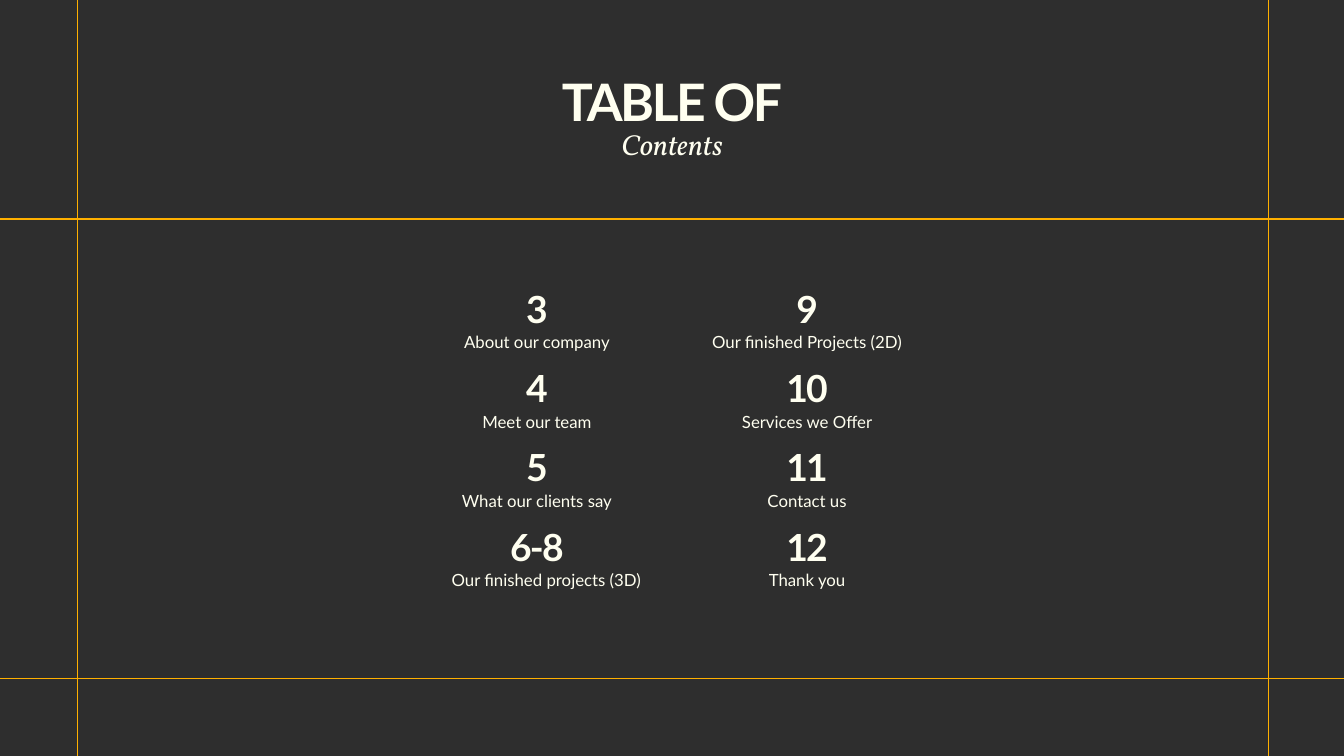
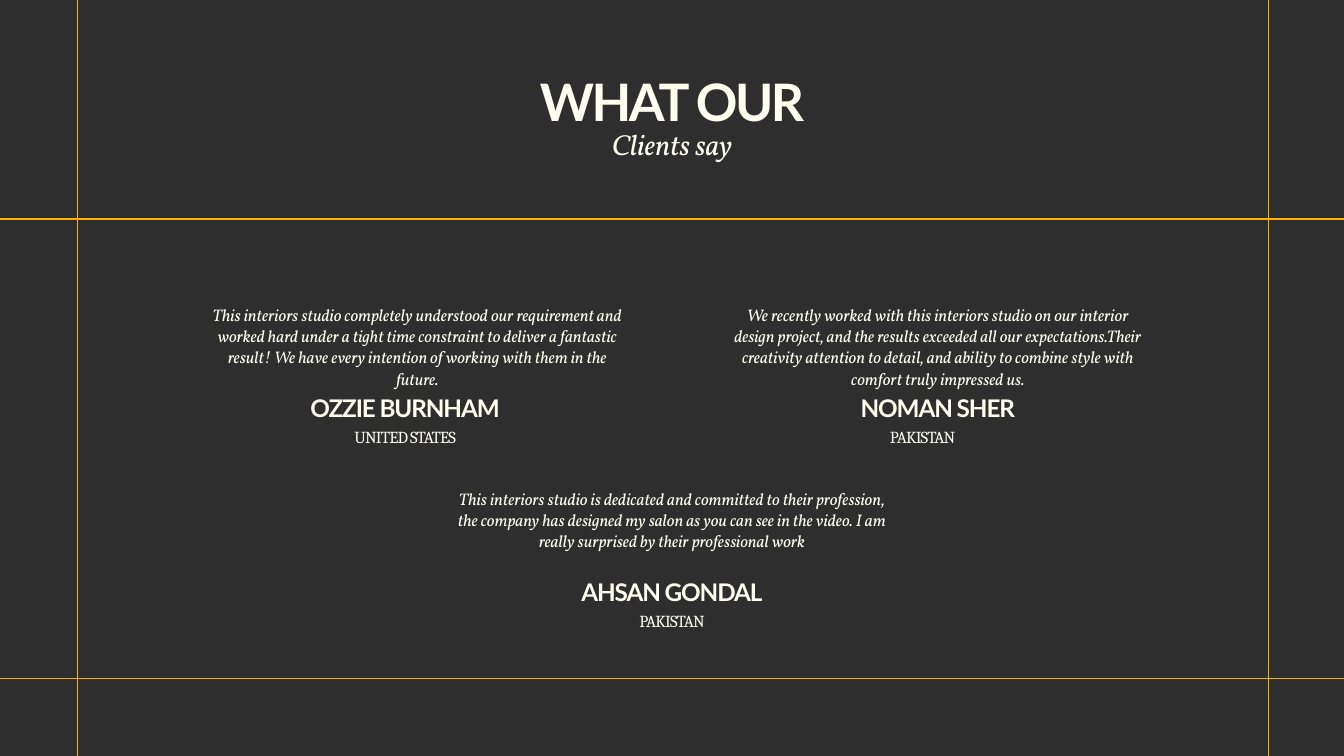
from dataclasses import dataclass
from typing import NamedTuple

from pptx import Presentation
from pptx import util as u
from pptx.dml.color import RGBColor
from pptx.enum import shapes, text
from pptx.oxml import xmlchemy
from pptx.oxml.ns import qn

SLIDE_WIDTH, SLIDE_HEIGHT = u.Inches(20), u.Inches(11.25)
BACKGROUND, IVORY, GOLD = "2E2E2E", "FFFFF0", "FFB000"

# All positions and lengths are percentages of the slide's width or height.
VERTICAL_RULES = (5.75, 94.4)
HORIZONTAL_RULES = (28.98, 89.78)
RULE_BLEED = 3

CONTENTS_CENTRES = (39.95, 60.05)
CONTENTS_TOP, CONTENTS_PITCH, LABEL_DROP = 39.56, 10.49, 4.2
NAME_DROP, PLACE_DROP = 12.55, 16.8


@dataclass(frozen=True)
class TextStyle:
    font: str
    size: float
    leading: float
    height: float
    bold: bool = False
    italic: bool = False
    tracking: float = 0


TITLE = TextStyle("Lato", 55.3, 55.8, 7.2, bold=True, tracking=-2.6)
SUBTITLE = TextStyle("Vollkorn", 31, 35.6, 4.44, italic=True)
PAGE_NUMBER = TextStyle("Lato", 40, 34, 4.71, bold=True, tracking=-1.9)
PAGE_LABEL = TextStyle("Lato", 18, 23, 2.84)
QUOTE = TextStyle("Vollkorn", 18, 22.9, 11.02, italic=True)
CLIENT_NAME = TextStyle("Lato", 26, 26.3, 3.47, bold=True, tracking=-1.2)
CLIENT_PLACE = TextStyle("Cambria", 18, 18.2, 2.4, tracking=-0.9)


class Entry(NamedTuple):
    pages: str
    label: str
    label_shift: float = 0


class Testimonial(NamedTuple):
    quote: str
    name: str
    place: str
    top: float
    width: float
    quote_centre: float
    name_centre: float
    place_centre: float


CONTENTS = (
    (
        Entry("3", "About our company"),
        Entry("4", "Meet our team"),
        Entry("5", "What our clients say"),
        Entry("6-8", "Our finished projects (3D)", 0.7),
    ),
    (
        Entry("9", "Our finished Projects (2D)"),
        Entry("10", "Services we Offer"),
        Entry("11", "Contact us"),
        Entry("12", "Thank you"),
    ),
)

TESTIMONIALS = (
    Testimonial(
        "This interiors studio completely understood our requirement and worked "
        "hard under a tight time constraint to deliver a fantastic result! We have "
        "every intention of working with them in the future.",
        "OZZIE BURNHAM", "UNITED STATES", 40.09, 31.3, 31.05, 30.15, 30.15,
    ),
    Testimonial(
        "We recently worked with this interiors studio on our interior design "
        "project, and the results exceeded all our expectations.Their creativity "
        "attention to detail, and ability to combine style with comfort truly "
        "impressed us.",
        "NOMAN SHER", "PAKISTAN", 40.09, 31.45, 69.78, 69.78, 68.65,
    ),
    Testimonial(
        "This interiors studio is dedicated and committed to their profession, the "
        "company has designed my salon as you can see in the video. I am really "
        "surprised by their professional work",
        "AHSAN GONDAL", "PAKISTAN", 64.44, 32.35, 50, 50, 50,
    ),
)


def across(share: float) -> u.Emu:
    return u.Emu(round(SLIDE_WIDTH * share / 100))


def down(share: float) -> u.Emu:
    return u.Emu(round(SLIDE_HEIGHT * share / 100))


def colour(hex_code: str) -> RGBColor:
    return RGBColor.from_string(hex_code)


def add_text(slide, words: str, style: TextStyle, centre: float, top: float, width: float) -> None:
    """Add centred text in a box placed by its horizontal centre and its top."""
    box = slide.shapes.add_textbox(
        across(centre - width / 2), down(top), across(width), down(style.height)
    )
    frame = box.text_frame
    frame.word_wrap = True
    frame.auto_size = text.MSO_AUTO_SIZE.SHAPE_TO_FIT_TEXT
    frame.margin_left = frame.margin_right = frame.margin_top = frame.margin_bottom = 0

    paragraph = frame.paragraphs[0]
    paragraph.alignment = text.PP_ALIGN.CENTER
    paragraph.line_spacing = u.Pt(style.leading)
    run = paragraph.add_run()
    run.text = words
    if style.tracking:
        run._r.get_or_add_rPr().set("spc", str(round(style.tracking * 100)))
    font = paragraph.font
    font.name, font.size = style.font, u.Pt(style.size)
    font.bold, font.italic = style.bold, style.italic
    font.color.rgb = colour(IVORY)


def add_rule(slide, start: tuple[float, float], end: tuple[float, float]) -> None:
    rule = slide.shapes.add_connector(
        shapes.MSO_CONNECTOR.STRAIGHT,
        across(start[0]), down(start[1]), across(end[0]), down(end[1]),
    )
    rule.line.color.rgb = colour(GOLD)
    rule.line.width = u.Pt(1.5)
    properties = rule._element.spPr
    properties.append(properties.makeelement(qn("a:effectLst"), {}))


def add_framed_slide(presentation, title: str, subtitle: str):
    """Add a dark slide with the heading and the four gold rules."""
    slide = presentation.slides.add_slide(presentation.slide_layouts[6])
    fill = slide.background.fill
    fill.solid()
    fill.fore_color.rgb = colour(BACKGROUND)
    near, far = -RULE_BLEED, 100 + RULE_BLEED
    for x in VERTICAL_RULES:
        add_rule(slide, (x, near), (x, far))
    for y in HORIZONTAL_RULES:
        add_rule(slide, (near, y), (far, y))
    add_text(slide, title, TITLE, 50, 10.49, 33.3)
    add_text(slide, subtitle, SUBTITLE, 50, 16.89, 27.25)
    return slide


def add_contents(slide) -> None:
    for centre, entries in zip(CONTENTS_CENTRES, CONTENTS):
        for row, entry in enumerate(entries):
            top = CONTENTS_TOP + row * CONTENTS_PITCH
            add_text(slide, entry.pages, PAGE_NUMBER, centre, top, 7.9)
            add_text(slide, entry.label, PAGE_LABEL,
                     centre + entry.label_shift, top + LABEL_DROP, 19.4)


def add_testimonial(slide, item: Testimonial) -> None:
    add_text(slide, item.quote, QUOTE, item.quote_centre, item.top, item.width)
    add_text(slide, item.name, CLIENT_NAME, item.name_centre, item.top + NAME_DROP, 17)
    add_text(slide, item.place, CLIENT_PLACE, item.place_centre, item.top + PLACE_DROP, 16)


def main() -> None:
    presentation = Presentation()
    presentation.slide_width, presentation.slide_height = SLIDE_WIDTH, SLIDE_HEIGHT

    add_contents(add_framed_slide(presentation, "TABLE OF", "Contents"))

    clients_slide = add_framed_slide(presentation, "WHAT OUR", "Clients say")
    for testimonial in TESTIMONIALS:
        add_testimonial(clients_slide, testimonial)

    presentation.save("out.pptx")


if __name__ == "__main__":
    main()
